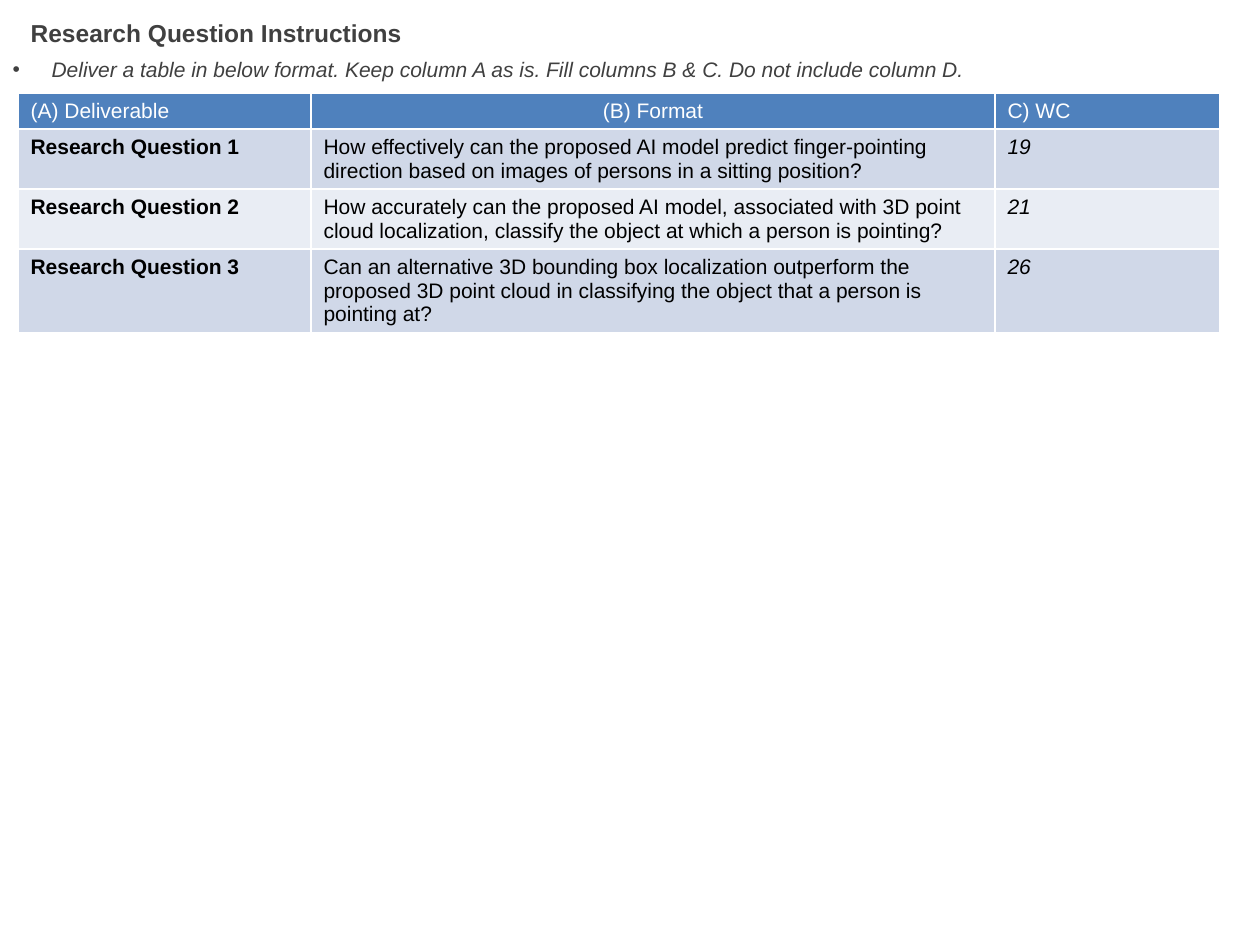
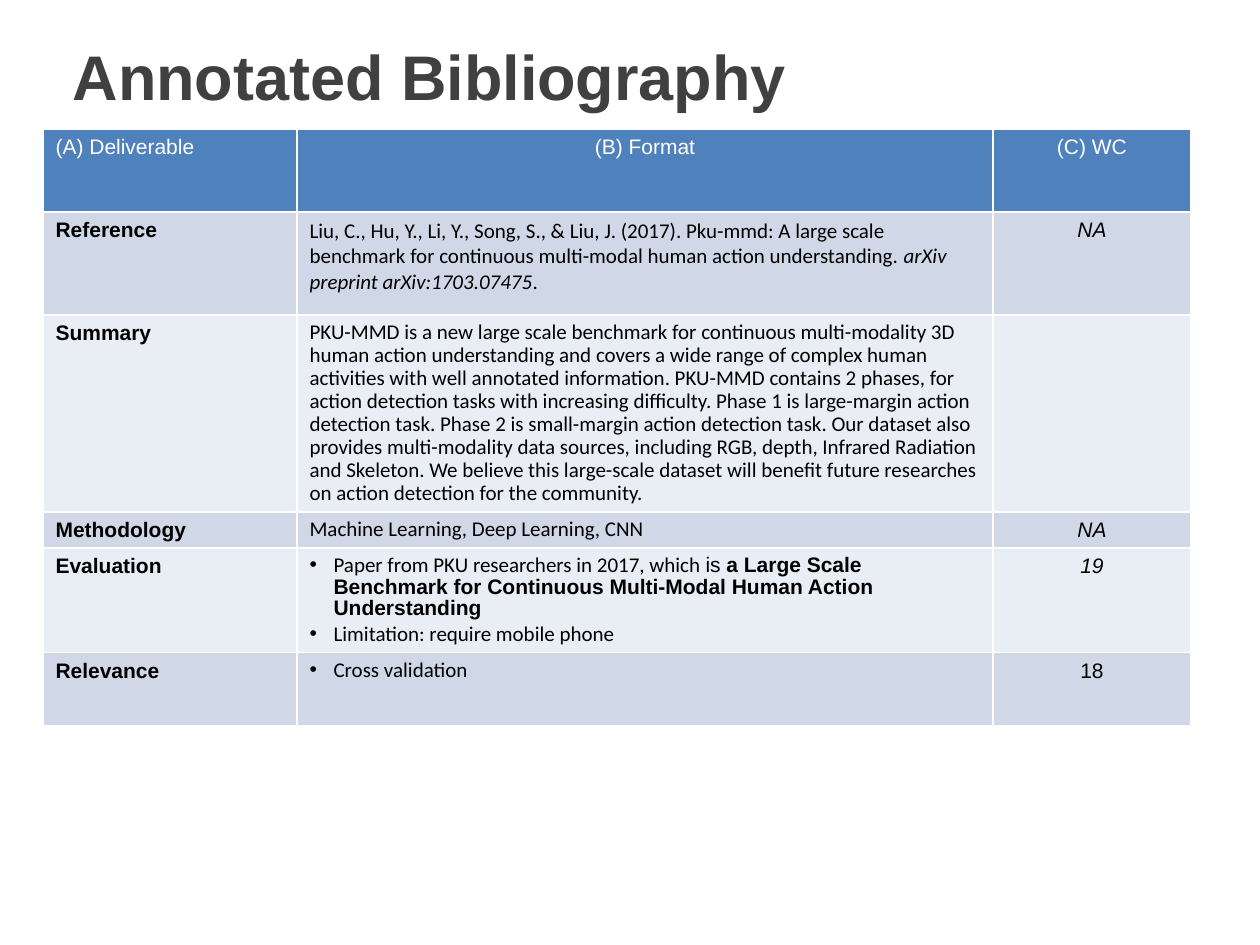
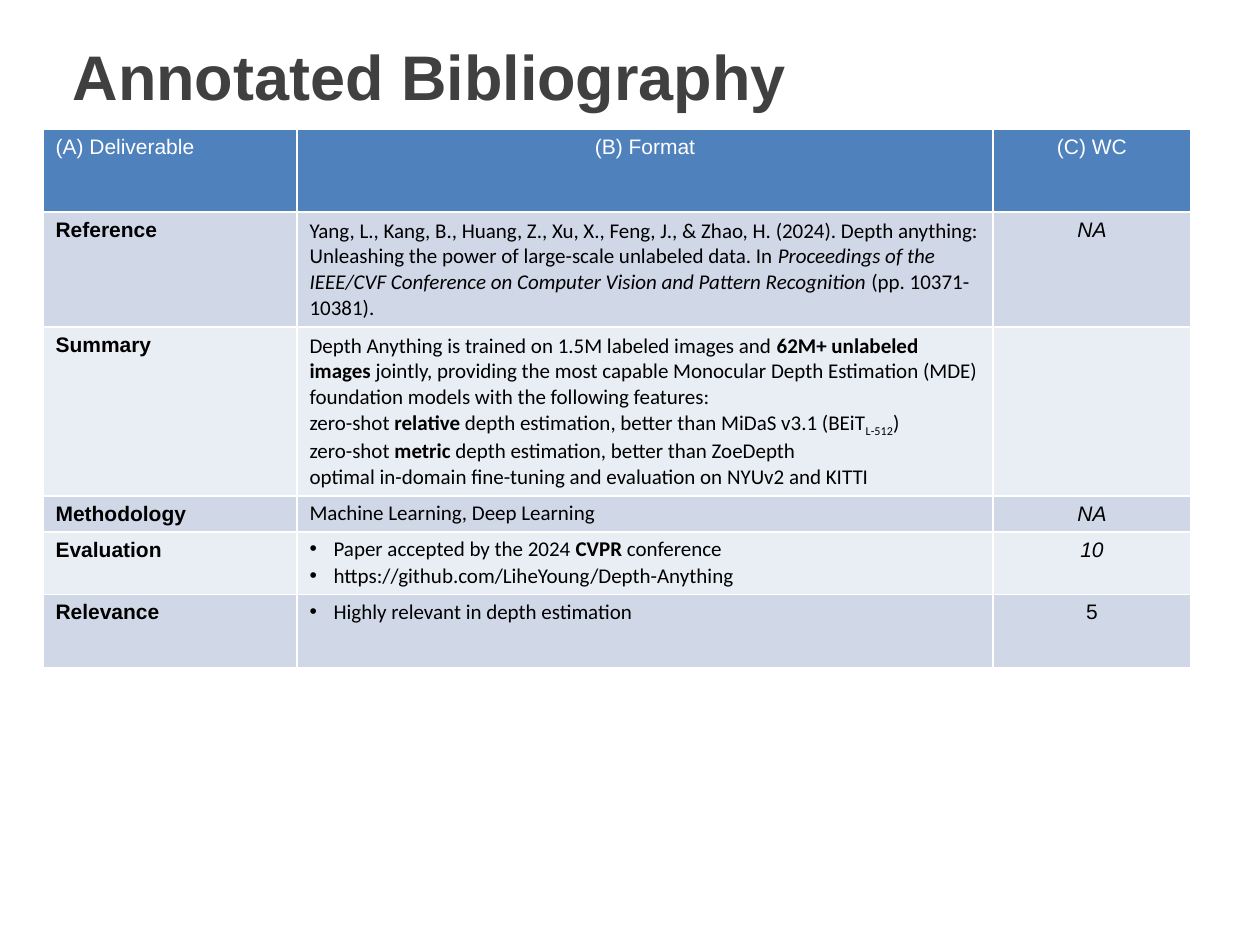
from lxml.etree import SubElement
from pptx import Presentation
from pptx.dml.color import RGBColor
from pptx.enum.text import MSO_ANCHOR, MSO_AUTO_SIZE, PP_ALIGN
from pptx.oxml.ns import qn
from pptx.util import Emu, Pt

# Shared look
PX = 914400 // 126
HEADER, BANDS = "4F81BD", ("D0D8E8", "E9EDF4")
WHITE, BLACK, GREY = "FFFFFF", "000000", "404040"
LEFT, CENTER = PP_ALIGN.LEFT, PP_ALIGN.CENTER

# Content: a run is (text, style words); a format cell is (kind, paragraphs)
QUESTIONS = {
    "title": "Research Question Instructions",
    "title_size": 14,
    "title_box": (18, 12, 1056, 34),
    "title_anchor": MSO_ANCHOR.TOP,
    "note": "Deliver a table in below format. Keep column A as is. "
            "Fill columns B & C. Do not include column D.",
    "note_box": (0, 50, 1118, 37),
    "table_at": (18, 93),
    "columns": (293, 684, 225),
    "count_align": LEFT,
    "header": ("(A) Deliverable", "(B) Format", "C) WC"),
    "heights": (35, 60, 60, 83),
    "rows": [
        ("Research Question 1",
         ("plain", [[("How effectively can the proposed AI model predict finger-pointing "
                      "direction based on images of persons in a sitting position?", "arial")]]),
         ("19", "italic")),
        ("Research Question 2",
         ("plain", [[("How accurately can the proposed AI model, associated with 3D point "
                      "cloud localization, classify the object at which a person is pointing?",
                      "arial")]]),
         ("21", "italic")),
        ("Research Question 3",
         ("plain", [[("Can an alternative 3D bounding box localization outperform the "
                      "proposed 3D point cloud in classifying the object that a person is "
                      "pointing at?", "arial")]]),
         ("26", "italic")),
    ],
}

BIBLIOGRAPHY = {
    "title": "Annotated Bibliography",
    "title_size": 36,
    "title_box": (60, 24, 1068, 102),
    "title_anchor": MSO_ANCHOR.MIDDLE,
    "table_at": (43, 129),
    "columns": (254, 696, 198),
    "count_align": CENTER,
    "header": ("(A) Deliverable", "(B) Format", "(C) WC"),
}

PKU_MMD = BIBLIOGRAPHY | {
    "heights": (83, 103, 197, 36, 104, 73),
    "rows": [
        ("Reference",
         ("plain", [[("Liu, C., Hu, Y., Li, Y., Song, S., & Liu, J. (2017). Pku-mmd: A large "
                      "scale benchmark for continuous multi-modal human action "
                      "understanding. ", ""),
                     ("arXiv preprint arXiv:1703.07475", "italic"), (".", "")]]),
         ("NA", "italic")),
        ("Summary",
         ("tight", [[("PKU-MMD is a new large scale benchmark for continuous multi-modality 3D "
                      "human action understanding and covers a wide range of complex human "
                      "activities with well annotated information. PKU-MMD contains 2 phases, "
                      "for action detection tasks with increasing difficulty. Phase 1 is "
                      "large-margin action detection task. Phase 2 is small-margin action "
                      "detection task. Our dataset also provides multi-modality data sources, "
                      "including RGB, depth, Infrared Radiation and Skeleton. We believe this "
                      "large-scale dataset will benefit future researches on action detection "
                      "for the community.", "")]]),
         None),
        ("Methodology",
         ("tight", [[("Machine Learning, Deep Learning, CNN", "")]]),
         ("NA", "italic")),
        ("Evaluation",
         ("list", [[("Paper from PKU researchers in 2017, which ", ""), ("is ", "arial"),
                    ("a Large Scale Benchmark for Continuous Multi-Modal Human Action "
                     "Understanding", "arial bold")],
                   [("Limitation: require mobile phone", "")]]),
         ("19", "italic")),
        ("Relevance", ("list", [[("Cross validation", "")]]), ("18", "")),
    ],
}

DEPTH_ANYTHING = BIBLIOGRAPHY | {
    "heights": (83, 115, 169, 36, 62, 73),
    "rows": [
        ("Reference",
         ("plain", [[("Yang, L., Kang, B., Huang, Z., Xu, X., Feng, J., & Zhao, H. (2024). "
                      "Depth anything: Unleashing the power of large-scale unlabeled data. "
                      "In ", ""),
                     ("Proceedings of the IEEE/CVF Conference on Computer Vision and Pattern "
                      "Recognition", "italic"),
                     (" (pp. 10371-10381).", "")]]),
         ("NA", "italic")),
        ("Summary",
         ("plain", [[("Depth Anything is trained on 1.5M labeled images and ", ""),
                     ("62M+ unlabeled images", "bold"),
                     (" jointly, providing the most capable Monocular Depth Estimation (MDE) "
                      "foundation models with the following features:", "")],
                    [("zero-shot ", ""), ("relative", "bold"),
                     (" depth estimation, better than MiDaS v3.1 (BEiT", ""),
                     ("L-512", "sub"), (")", "")],
                    [("zero-shot ", ""), ("metric", "bold"),
                     (" depth estimation, better than ZoeDepth", "")],
                    [("optimal in-domain fine-tuning and evaluation on NYUv2 and KITTI", "")]]),
         None),
        ("Methodology",
         ("tight", [[("Machine Learning, Deep Learning", "")]]),
         ("NA", "italic")),
        ("Evaluation",
         ("list", [[("Paper accepted by the 2024 ", ""), ("CVPR", "bold"), (" conference", "")],
                   [("https://github.com/LiheYoung/Depth-Anything", "")]]),
         ("10", "italic")),
        ("Relevance",
         ("list", [[("Highly relevant in depth estimation", "")]]),
         ("5", "")),
    ],
}


# Text helpers
def rgb(color):
    return RGBColor.from_string(color)


def style(font, color, size=12, name="Arial", bold=False, italic=False):
    font.name, font.size, font.bold, font.italic = name, Pt(size), bold, italic
    font.color.rgb = rgb(color)


def add_bullet(p, indent):
    pPr = p._p.get_or_add_pPr()
    pPr.set("marL", str(indent * PX))
    pPr.set("indent", str(-indent * PX))
    SubElement(pPr, qn("a:buFont")).set("typeface", "Arial")
    SubElement(pPr, qn("a:buChar")).set("char", "•")


def fill_placeholder(sp, box, text, anchor=MSO_ANCHOR.TOP):
    sp.left, sp.top, sp.width, sp.height = (Emu(v * PX) for v in box)
    tf = sp.text_frame
    tf.text = text
    tf.word_wrap, tf.auto_size, tf.vertical_anchor = True, MSO_AUTO_SIZE.NONE, anchor
    p = tf.paragraphs[0]
    p.alignment, p.space_before = LEFT, Pt(0)
    return p


def fill_cell(cell, text, align=LEFT, color=BLACK, **font):
    p = cell.text_frame.paragraphs[0]
    p.text, p.alignment = text, align
    style(p.runs[0].font, color, **font)


def fill_format(cell, kind, paragraphs):
    tf = cell.text_frame
    for i, runs in enumerate(paragraphs):
        p = tf.add_paragraph() if i else tf.paragraphs[0]
        if kind != "plain":
            p.line_spacing, p.space_after = 0.9, Pt(2)
        if kind == "list":
            add_bullet(p, 24)
        for text, words in runs:
            r = p.add_run()
            r.text = text
            style(r.font, BLACK, name="Arial" if "arial" in words else "Calibri",
                  bold="bold" in words, italic="italic" in words)
            if "sub" in words:
                r.font._element.set("baseline", "-25000")


# Table
def add_deliverables(s, page):
    columns, heights = page["columns"], page["heights"]
    box = (*page["table_at"], sum(columns), sum(heights))
    table = s.shapes.add_table(len(heights), len(columns), *(Emu(v * PX) for v in box)).table
    for column, width in zip(table.columns, columns):
        column.width = Emu(width * PX)
    for i, (row, height) in enumerate(zip(table.rows, heights)):
        row.height = Emu(height * PX)
        for cell in row.cells:
            cell.fill.solid()
            cell.fill.fore_color.rgb = rgb(BANDS[(i - 1) % 2] if i else HEADER)

    aligns = (LEFT, CENTER, page["count_align"])
    for cell, text, align in zip(table.rows[0].cells, page["header"], aligns):
        fill_cell(cell, text, align, WHITE)
    for i, (name, (kind, paragraphs), count) in enumerate(page["rows"], 1):
        fill_cell(table.cell(i, 0), name, bold=True)
        fill_format(table.cell(i, 1), kind, paragraphs)
        if count:
            fill_cell(table.cell(i, 2), count[0], page["count_align"],
                      italic=count[1] == "italic")


# Slides
def add_page(prs, page):
    s = prs.slides.add_slide(prs.slide_layouts[1 if "note" in page else 5])
    p = fill_placeholder(s.shapes.title, page["title_box"], page["title"], page["title_anchor"])
    style(p.runs[0].font, GREY, page["title_size"], bold=True)
    if "note" in page:
        p = fill_placeholder(s.placeholders[1], page["note_box"], page["note"])
        add_bullet(p, 39)
        style(p.runs[0].font, GREY, italic=True)
    add_deliverables(s, page)


def main():
    prs = Presentation()
    prs.slide_width, prs.slide_height = Emu(1260 * PX), Emu(945 * PX)
    for page in (QUESTIONS, PKU_MMD, DEPTH_ANYTHING):
        add_page(prs, page)
    prs.save("out.pptx")


if __name__ == "__main__":
    main()
